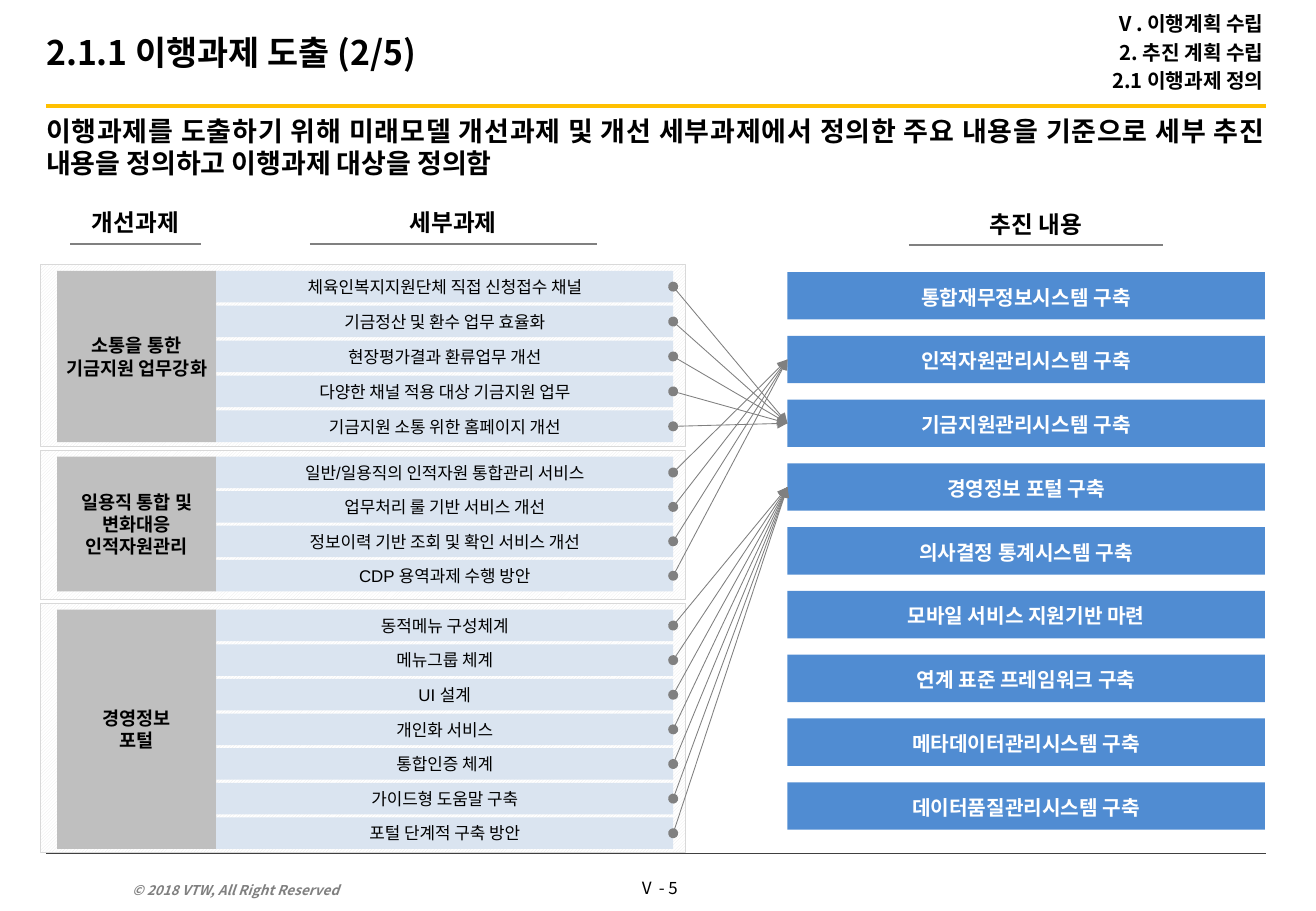
from lxml.etree import SubElement
from pptx import Presentation
from pptx.dml.color import RGBColor
from pptx.enum.dml import MSO_PATTERN
from pptx.enum.shapes import MSO_CONNECTOR, MSO_SHAPE
from pptx.enum.text import MSO_ANCHOR, PP_ALIGN
from pptx.oxml.ns import qn
from pptx.util import Inches, Pt

TITLE = "2.1.1 이행과제 도출 (2/5)"
CHAPTER = ["Ⅴ. 이행계획 수립", "2. 추진 계획 수립", "2.1 이행과제 정의"]
MESSAGE = ("이행과제를 도출하기 위해 미래모델 개선과제 및 개선 세부과제에서 정의한 "
           "주요 내용을 기준으로 세부 추진 내용을 정의하고 이행과제 대상을 정의함")
COPYRIGHT = "© 2018 VTW, All Right Reserved"
PAGE_NUMBER = "Ⅴ - 5"

# Heading, text top, underline left, underline right, underline height
HEADINGS = [
    ("세부과제", 1.65, 2.55, 4.91, 2.01),
    ("추진 내용", 1.67, 7.48, 9.57, 2.02),
    ("개선과제", 1.65, 0.58, 1.65, 2.01),
]
SYSTEMS = [
    "통합재무정보시스템 구축", "인적자원관리시스템 구축", "기금지원관리시스템 구축",
    "경영정보 포털 구축", "의사결정 통계시스템 구축", "모바일 서비스 지원기반 마련",
    "연계 표준 프레임워크 구축", "메타데이터관리시스템 구축", "데이터품질관리시스템 구축",
]
# Label lines, frame top, frame height, label height, target system, tasks
GROUPS = [
    (["소통을 통한 기금지원 업무강화"], 2.18, 1.5, 1.41, "기금지원관리시스템 구축", [
        "체육인복지지원단체 직접 신청접수 채널", "기금정산 및 환수 업무 효율화",
        "현장평가결과 환류업무 개선", "다양한 채널 적용 대상 기금지원 업무",
        "기금지원 소통 위한 홈페이지 개선"]),
    (["일용직 통합 및 변화대응 인적자원관리"], 3.71, 1.23, 1.11, "인적자원관리시스템 구축", [
        "일반/일용직의 인적자원 통합관리 서비스", "업무처리 룰 기반 서비스 개선",
        "정보이력 기반 조회 및 확인 서비스 개선", "CDP 용역과제 수행 방안"]),
    (["경영정보", "포털"], 4.97, 2.05, 1.97, "경영정보 포털 구축", [
        "동적메뉴 구성체계", "메뉴그룹 체계", "UI 설계", "개인화 서비스",
        "통합인증 체계", "가이드형 도움말 구축", "포털 단계적 구축 방안"]),
]

KOREAN = "Noto Sans CJK KR"
LATIN = "Arial"
BLACK = RGBColor(0x00, 0x00, 0x00)
WHITE = RGBColor(0xFF, 0xFF, 0xFF)
GRAY = RGBColor(0x80, 0x80, 0x80)
DARK_GRAY = RGBColor(0x40, 0x40, 0x40)
GOLD = RGBColor(0xFF, 0xC0, 0x00)
LABEL_GRAY = RGBColor(0xBF, 0xBF, 0xBF)
TASK_BLUE = RGBColor(0xDA, 0xE4, 0xF0)
SYSTEM_BLUE = RGBColor(0x50, 0x8C, 0xD2)
FRAME_LINE = RGBColor(0xD9, 0xD9, 0xD9)
HATCH = RGBColor(0xEA, 0xEA, 0xEA)

TASK_LEFT, TASK_WIDTH, TASK_HEIGHT = 1.78, 3.76, 0.26
SYSTEM_TOP, SYSTEM_PITCH = 2.24, 0.525

deck = Presentation()
deck.slide_width, deck.slide_height = Inches(10.83), Inches(7.5)
page = deck.slides.add_slide(deck.slide_layouts[6])


def write(shape, lines, size, font=LATIN, color=BLACK, bold=True, italic=False,
          align=PP_ALIGN.CENTER, anchor=MSO_ANCHOR.MIDDLE,
          insets=(0, 0, 0, 0), before=0, spacing=None, wrap=True):
    frame = shape.text_frame
    frame.word_wrap = wrap
    frame.vertical_anchor = anchor
    (frame.margin_left, frame.margin_top,
     frame.margin_right, frame.margin_bottom) = map(Inches, insets)
    for index, line in enumerate(lines):
        para = frame.add_paragraph() if index else frame.paragraphs[0]
        para.text = line
        para.alignment = align
        if index and before:
            para.space_before = Pt(before)
        if spacing:
            para.line_spacing = spacing
        para.font.size = Pt(size)
        para.font.bold = bold
        para.font.italic = italic
        para.font.color.rgb = color
        para.font.name = font
        defaults = para._p.pPr.find(qn("a:defRPr"))
        SubElement(defaults, qn("a:ea")).set("typeface", KOREAN)


def add_text(left, top, width, height, lines, size, **style):
    box = page.shapes.add_textbox(*map(Inches, (left, top, width, height)))
    write(box, lines, size, **style)


def add_box(left, top, width, height, fill=None):
    """Add a rectangle without shadow or outline."""
    box = page.shapes.add_shape(
        MSO_SHAPE.RECTANGLE, *map(Inches, (left, top, width, height)))
    box.shadow.inherit = False
    box.line.fill.background()
    if fill is not None:
        box.fill.solid()
        box.fill.fore_color.rgb = fill
    return box


def add_line(x1, y1, x2, y2, color, width):
    line = page.shapes.add_connector(
        MSO_CONNECTOR.STRAIGHT, *map(Inches, (x1, y1, x2, y2)))
    line.line.color.rgb = color
    line.line.width = Pt(width)
    SubElement(line._element.spPr, qn("a:effectLst"))
    return line


def link(task, system):
    """Join a task to its system, from a dot to an arrowhead."""
    arrow = add_line(0, 0, 1, 1, GRAY, 0.5)
    arrow.begin_connect(task, 3)
    arrow.end_connect(system, 1)
    outline = arrow.line._get_or_add_ln()
    SubElement(outline, qn("a:headEnd")).set("type", "oval")
    SubElement(outline, qn("a:tailEnd")).set("type", "triangle")


add_line(0.38, 0.87, 10.42, 0.87, GOLD, 2.5)
add_line(0.38, 7.03, 10.42, 7.03, DARK_GRAY, 0.5)
add_text(0.99, 7.17, 2.37, 0.27, [COPYRIGHT], 8, font=KOREAN, color=GRAY, italic=True,
         align=PP_ALIGN.LEFT, anchor=MSO_ANCHOR.BOTTOM, insets=(0.1, 0.05, 0.1, 0.05))
add_text(5.12, 7.18, 0.59, 0.27, [PAGE_NUMBER], 10, font=KOREAN, bold=False,
         anchor=MSO_ANCHOR.TOP, insets=(0.06, 0.05, 0.06, 0.05), wrap=False)
add_text(0.38, 0.94, 10.04, 0.68, [MESSAGE], 16, font=KOREAN,
         align=PP_ALIGN.JUSTIFY, anchor=MSO_ANCHOR.TOP)
add_text(0.38, 0, 7.87, 0.85, [TITLE], 20, font=KOREAN,
         align=PP_ALIGN.LEFT, insets=(0, 0.05, 0.1, 0.05))
add_text(4.94, 0, 5.46, 0.86, CHAPTER, 12, font=KOREAN,
         align=PP_ALIGN.RIGHT, insets=(0, 0.05, 0, 0.05), before=2.4)

for heading, top, left, right, underline in HEADINGS:
    add_text(left, top, right - left, 0.35, [heading], 14, spacing=1.05,
             anchor=MSO_ANCHOR.TOP, insets=(0, 0.05, 0, 0.05))
    add_line(left, underline, right, underline, GRAY, 1)

system_boxes = {}
for row, name in enumerate(SYSTEMS):
    box = add_box(6.48, SYSTEM_TOP + row * SYSTEM_PITCH, 3.93, 0.39, SYSTEM_BLUE)
    write(box, [name], 12, color=WHITE, insets=(0.02, 0.04, 0.02, 0.02))
    system_boxes[name] = box

links = []
for label, top, height, label_height, target, tasks in GROUPS:
    frame_box = add_box(0.33, top, 5.31, height)
    frame_box.fill.patterned()
    frame_box.fill.pattern = MSO_PATTERN.DARK_UPWARD_DIAGONAL
    frame_box.fill.fore_color.rgb = HATCH
    frame_box.fill.back_color.rgb = WHITE
    frame_box.line.color.rgb = FRAME_LINE
    frame_box.line.width = Pt(0.5)

    first = top + 0.05
    label_box = add_box(0.47, first, 1.31, label_height, LABEL_GRAY)
    write(label_box, label, 11, insets=(0.04, 0, 0.04, 0))
    pitch = (label_height - TASK_HEIGHT) / (len(tasks) - 1)
    for row, task in enumerate(tasks):
        box = add_box(TASK_LEFT, first + row * pitch, TASK_WIDTH, TASK_HEIGHT, TASK_BLUE)
        write(box, [task], 10, bold=False, insets=(0.02, 0.02, 0.02, 0.02))
        links.append((box, system_boxes[target]))

for task_box, system_box in links:
    link(task_box, system_box)

deck.save("out.pptx")
